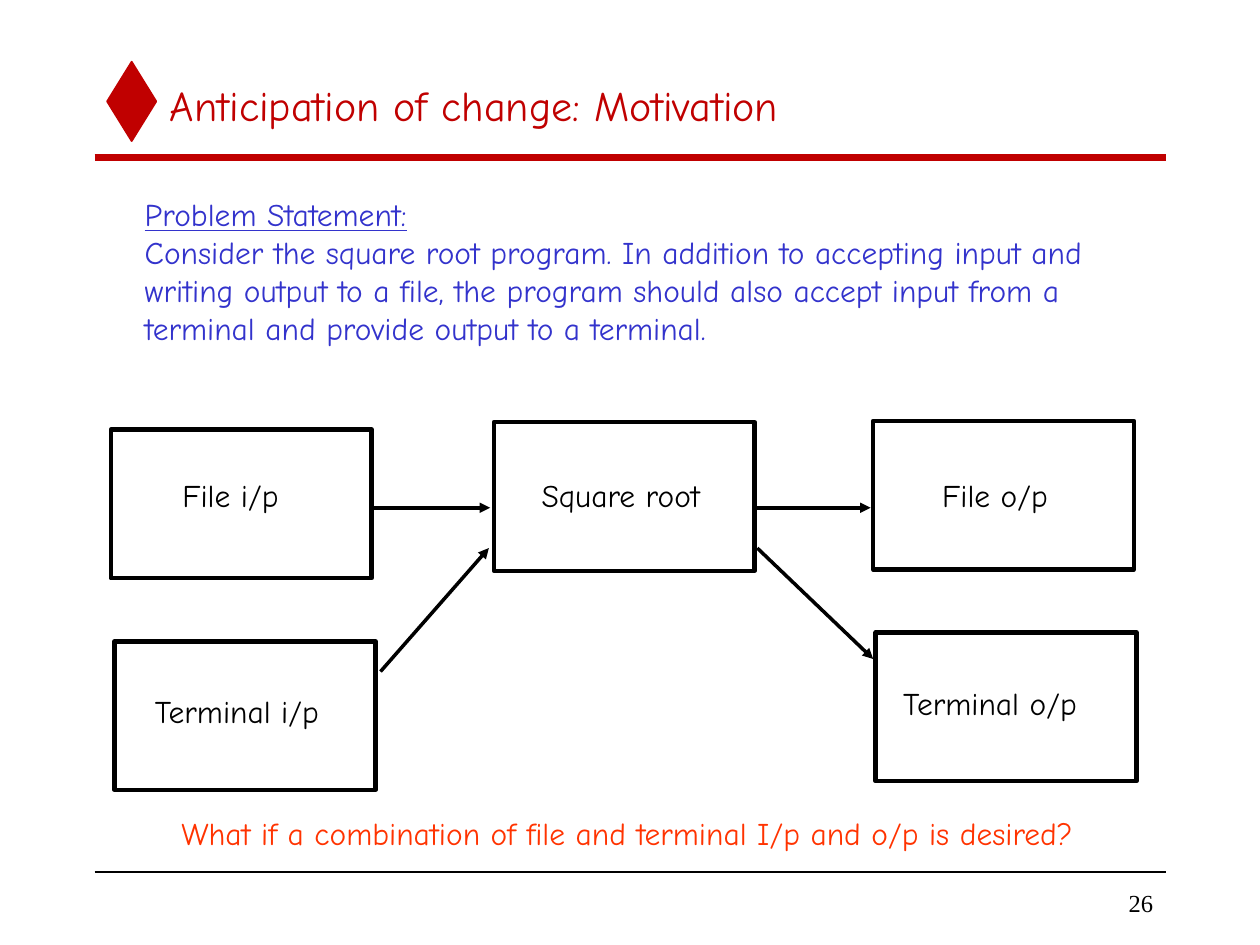
from lxml import etree
from pptx import Presentation
from pptx import util as u
from pptx.dml.color import RGBColor
from pptx.enum import shapes, text
from pptx.oxml.ns import qn

RED, BLUE, BLACK, ORANGE = "C00000", "3333CC", "000000", "FF3300"

# Content
TITLE = "Anticipation of change: Motivation"
PROBLEM = [
    "Problem Statement:",
    "Consider the square root program. In addition to accepting input and",
    "writing output to a file, the program should also accept input from a",
    "terminal and provide output to a terminal.",
]
QUESTION = "What if a combination of file and terminal I/p and o/p is desired?"
PAGE = "26"

# Label, box corner, label place (left, top, width)
BOX_W, BOX_H = 2.07, 1.18
BOXES = [
    ("File i/p", (0.88, 3.41), (1.35, 3.73, 0.96)),
    ("Square root", (3.92, 3.35), (4.2, 3.73, 1.47)),
    ("File o/p", (6.93, 3.34), (7.38, 3.73, 1.04)),
    ("Terminal i/p", (0.91, 5.09), (1.13, 5.44, 1.52)),
    ("Terminal o/p", (6.95, 5.02), (7.07, 5.38, 1.6)),
]
ARROWS = [
    ((2.97, 4.03), (3.89, 4.03)),
    ((5.99, 4.03), (6.91, 4.03)),
    ((3.02, 5.33), (3.88, 4.35)),
    ((6.01, 4.35), (6.93, 5.23)),
]
RULES = [(1.25, RED, 4), (6.92, BLACK, 1)]

deck = Presentation()
deck.slide_width, deck.slide_height = u.Inches(10), u.Inches(7.5)
slide = deck.slides.add_slide(deck.slide_layouts[6])


def paint(color):
    return RGBColor.from_string(color)


def write(lines, place, size=18, color=BLACK, font="Comic Neue", wrap=False,
          align=text.PP_ALIGN.LEFT, anchor=text.MSO_ANCHOR.TOP, under=()):
    box = slide.shapes.add_textbox(*map(u.Inches, place))
    frame = box.text_frame
    frame.word_wrap = wrap
    frame.vertical_anchor = anchor
    frame.text = "\n".join(lines)
    for num, para in enumerate(frame.paragraphs):
        para.alignment = align
        face = para.runs[0].font
        face.name, face.size = font, u.Pt(size)
        face.color.rgb = paint(color)
        face.underline = num in under


def draw(kind, place, line, width, fill=None):
    shape = slide.shapes.add_shape(kind, *map(u.Inches, place))
    shape.shadow.inherit = False
    if fill:
        shape.fill.solid()
        shape.fill.fore_color.rgb = paint(fill)
    else:
        shape.fill.background()
    shape.line.color.rgb = paint(line)
    shape.line.width = u.Pt(width)


def link(start, end, color, width, arrow=False):
    line = slide.shapes.add_connector(
        shapes.MSO_CONNECTOR.STRAIGHT, *map(u.Inches, start + end))
    line.line.color.rgb = paint(color)
    line.line.width = u.Pt(width)
    props = line.element.spPr
    if arrow:
        etree.SubElement(props.find(qn("a:ln")), qn("a:tailEnd"), type="triangle")
    etree.SubElement(props, qn("a:effectLst"))


# Frame: diamond, rules, title and page number
draw(shapes.MSO_SHAPE.DIAMOND, (0.85, 0.49, 0.39, 0.63), RED, 1, RED)
for y, color, width in RULES:
    link((0.75, y), (9.25, y), color, width)
write([TITLE], (1.25, 0.5, 8, 0.67), size=24, color=RED, wrap=True,
      anchor=text.MSO_ANCHOR.MIDDLE)
write([PAGE], (7.83, 7, 1.42, 0.33), size=14, font="Times New Roman",
      align=text.PP_ALIGN.RIGHT, anchor=text.MSO_ANCHOR.MIDDLE)

# Problem statement
write(PROBLEM, (1.05, 1.5, 7.75, 1.3), color=BLUE, under=(0,))

# Diagram
for label, corner, spot in BOXES:
    draw(shapes.MSO_SHAPE.RECTANGLE, corner + (BOX_W, BOX_H), BLACK, 2.5)
    write([label], spot + (0.4,))
for start, end in ARROWS:
    link(start, end, BLACK, 2, arrow=True)

# Closing question
write([QUESTION], (1.34, 6.41, 7.29, 0.4), color=ORANGE)

deck.save("out.pptx")
